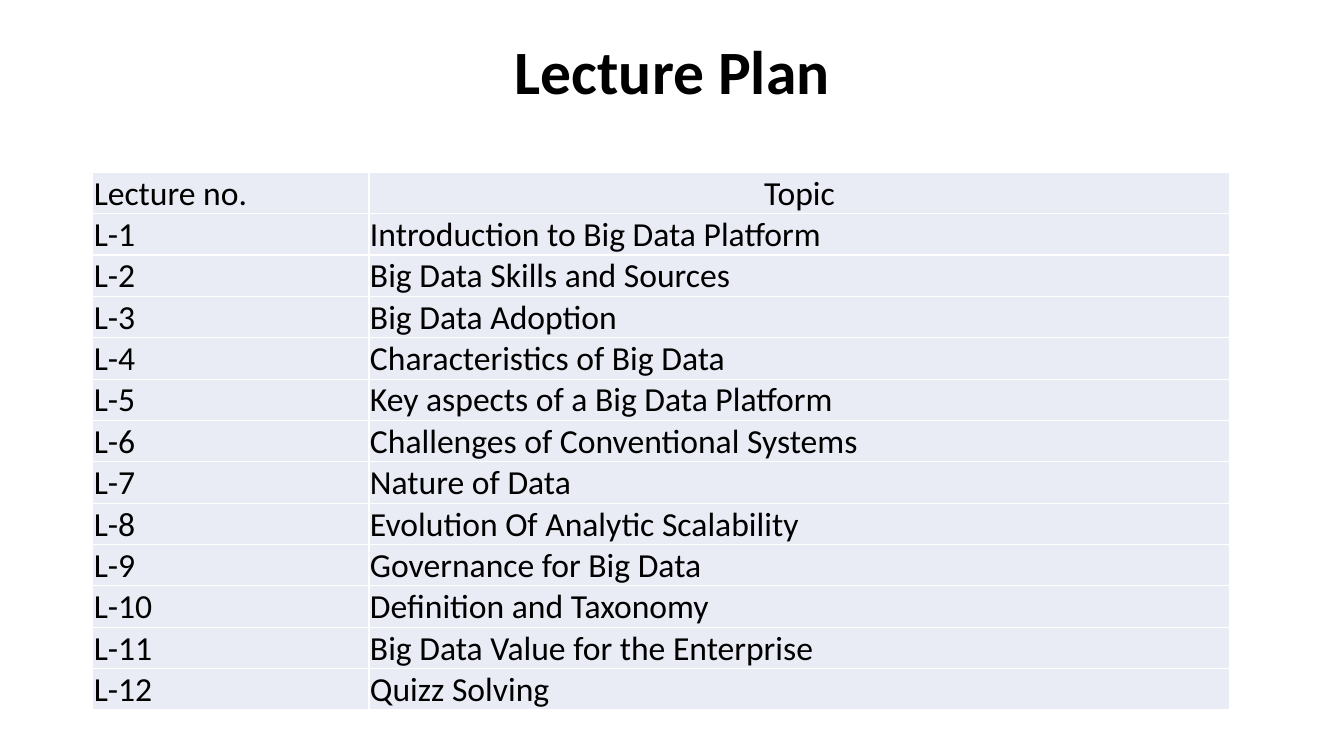
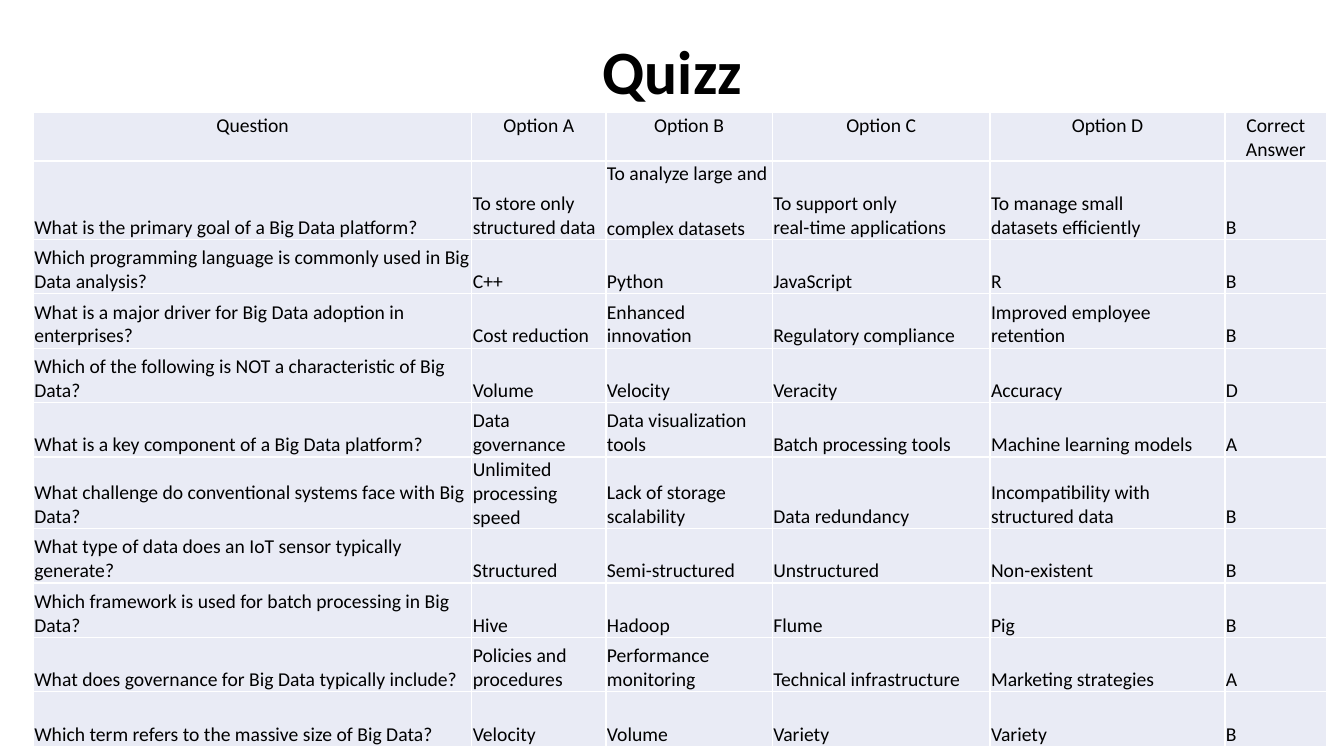
from lxml import etree
from pptx import Presentation
from pptx import util as u
from pptx.dml import color
from pptx.enum import text
from pptx.oxml import ns

COLORS = {"ink": "000000", "cell": "E9EBF5", "rule": "FFFFFF"}
FONT = "Calibri"
TITLE_BOX = (0.92, 0.01, 11.5, 1.45)
CENTER = text.PP_ALIGN.CENTER
LEFT = text.PP_ALIGN.LEFT

LECTURE_TOPICS = [
    "Introduction to Big Data Platform",
    "Big Data Skills and Sources",
    "Big Data Adoption",
    "Characteristics of Big Data",
    "Key aspects of a Big Data Platform",
    "Challenges of Conventional Systems",
    "Nature of Data",
    "Evolution Of Analytic Scalability",
    "Governance for Big Data",
    "Definition and Taxonomy",
    "Big Data Value for the Enterprise",
    "Quizz Solving",
]

QUIZ_HEADER = ["Question", "Option A", "Option B", "Option C", "Option D", "Correct Answer"]
QUIZ_ROWS = [
    ["What is the primary goal of a Big Data platform?",
     "To store only \nstructured data", "To analyze large and \ncomplex datasets",
     "To support only \nreal-time applications", "To manage small \ndatasets efficiently", "B"],
    ["Which programming language is commonly used in Big Data analysis?",
     "C++", "Python", "JavaScript", "R", "B"],
    ["What is a major driver for Big Data adoption in enterprises?",
     "Cost reduction", "Enhanced innovation", "Regulatory compliance",
     "Improved employee retention", "B"],
    ["Which of the following is NOT a characteristic of Big Data?",
     "Volume", "Velocity", "Veracity", "Accuracy", "D"],
    ["What is a key component of a Big Data platform?",
     "Data governance", "Data visualization tools", "Batch processing tools",
     "Machine learning models", "A"],
    ["What challenge do conventional systems face with Big Data?",
     "Unlimited processing speed", "Lack of storage scalability", "Data redundancy",
     "Incompatibility with structured data", "B"],
    ["What type of data does an IoT sensor typically generate?",
     "Structured", "Semi-structured", "Unstructured", "Non-existent", "B"],
    ["Which framework is used for batch processing in Big Data?",
     "Hive", "Hadoop", "Flume", "Pig", "B"],
    ["What does governance for Big Data typically include?",
     "Policies and procedures", "Performance monitoring", "Technical infrastructure",
     "Marketing strategies", "A"],
    ["Which term refers to the massive size of Big Data?",
     "Velocity", "Volume", "Variety", "Variety", "B"],
]


def rgb(name):
    return color.RGBColor.from_string(COLORS[name])


def write(paragraph, words, size, align, bold=False):
    paragraph.alignment = align
    for number, line in enumerate(words.split("\n")):
        if number:
            paragraph.add_line_break()
        run = paragraph.add_run()
        run.text = line
        run.font.name = FONT
        run.font.size = u.Pt(size)
        run.font.bold = bold
        run.font.color.rgb = rgb("ink")


def add_title(slide, words, box):
    frame = slide.shapes.add_textbox(*map(u.Inches, box)).text_frame
    frame.word_wrap = True
    frame.vertical_anchor = text.MSO_ANCHOR.MIDDLE
    heading = frame.paragraphs[0]
    heading.line_spacing = 0.9
    write(heading, words, 44, CENTER, bold=True)


def rule_cell(cell):
    properties = cell._tc.get_or_add_tcPr()
    for position, side in enumerate(("lnL", "lnR", "lnT", "lnB")):
        edge = etree.Element(ns.qn(f"a:{side}"), w=str(u.Pt(1)))
        fill = etree.SubElement(edge, ns.qn("a:solidFill"))
        etree.SubElement(fill, ns.qn("a:srgbClr"), val=COLORS["rule"])
        properties.insert(position, edge)


def fill_cell(cell, words, size, is_heading):
    cell.margin_left = cell.margin_right = cell.margin_top = u.Inches(0.01)
    cell.margin_bottom = u.Inches(0)
    cell.vertical_anchor = text.MSO_ANCHOR.TOP if is_heading else text.MSO_ANCHOR.BOTTOM
    cell.fill.solid()
    cell.fill.fore_color.rgb = rgb("cell")
    rule_cell(cell)
    write(cell.text_frame.paragraphs[0], words, size, CENTER if is_heading else LEFT)


def add_grid(slide, origin, widths, heights, rows, size, first_centered):
    extent = (*origin, sum(widths), sum(heights))
    table = slide.shapes.add_table(len(rows), len(widths), *map(u.Inches, extent)).table
    table.first_row = table.horz_banding = False
    for column, width in zip(table.columns, widths):
        column.width = u.Inches(width)
    for r, (height, row) in enumerate(zip(heights, rows)):
        table.rows[r].height = u.Inches(height)
        for c, words in enumerate(row):
            fill_cell(table.cell(r, c), words, size, r == 0 and c >= first_centered)


def add_table_slide(deck, title, **grid):
    slide = deck.slides.add_slide(deck.slide_layouts[6])
    add_title(slide, title, TITLE_BOX)
    add_grid(slide, **grid)


def main():
    deck = Presentation()
    deck.slide_width = u.Inches(13.33)
    deck.slide_height = u.Inches(7.5)
    lectures = [[f"L-{n}", topic] for n, topic in enumerate(LECTURE_TOPICS, 1)]
    add_table_slide(
        deck, "Lecture Plan", origin=(0.92, 1.71), widths=[2.74, 8.54],
        heights=[0.37] * (len(lectures) + 1),
        rows=[["Lecture no.", "Topic"]] + lectures, size=24, first_centered=1)
    add_table_slide(
        deck, "Quizz", origin=(0.33, 1.12), widths=[4.35, 1.33, 1.65, 2.16, 2.33, 1.01],
        heights=[0.26] + [0.54] * len(QUIZ_ROWS),
        rows=[QUIZ_HEADER] + QUIZ_ROWS, size=14, first_centered=0)
    deck.save("out.pptx")


if __name__ == "__main__":
    main()
